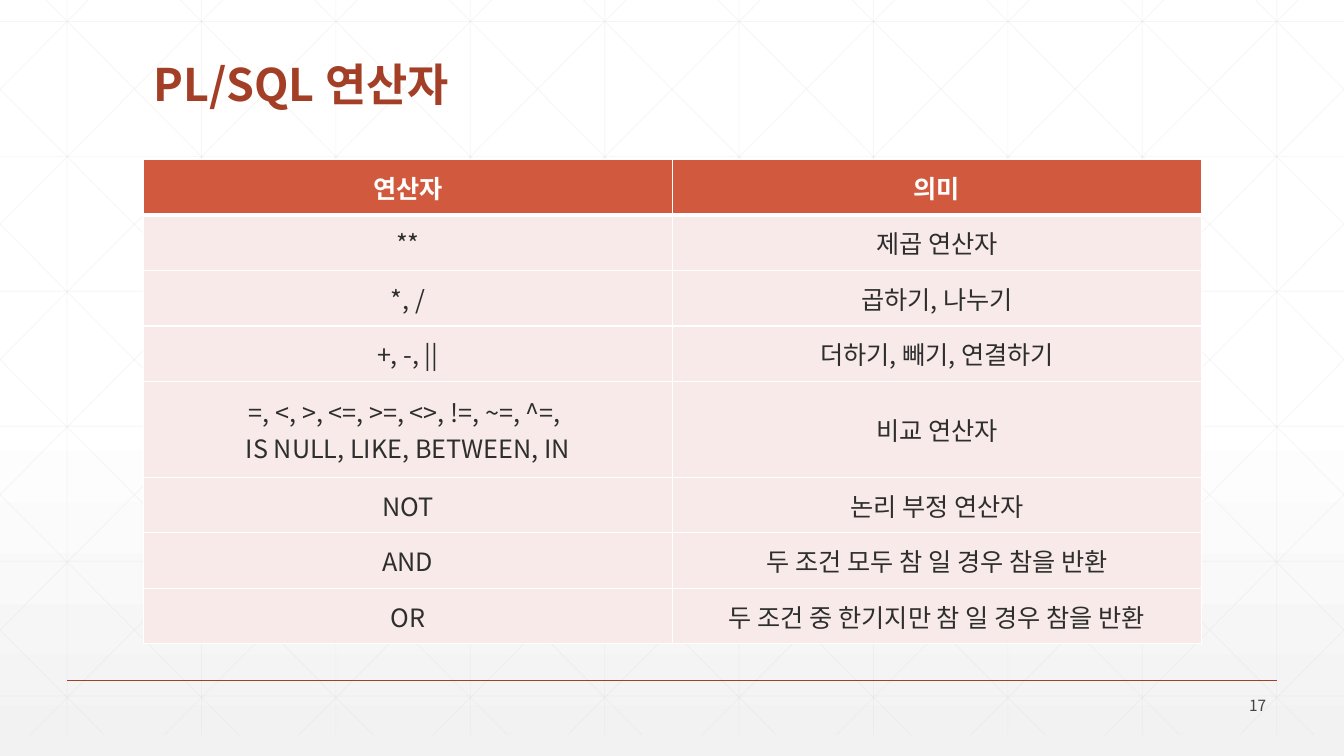
from dataclasses import dataclass
from typing import Any

import lxml.etree
import pptx
import pptx.dml.color
import pptx.enum.dml
import pptx.enum.shapes
import pptx.enum.text
import pptx.oxml
import pptx.oxml.ns
import pptx.util

Cm = pptx.util.Cm
Pt = pptx.util.Pt
RGB = pptx.dml.color.RGBColor
ALIGN = pptx.enum.text.PP_ALIGN
ANCHOR = pptx.enum.text.MSO_ANCHOR
qn = pptx.oxml.ns.qn

FONT = "Noto Sans CJK KR"
WHITE = RGB(0xFF, 0xFF, 0xFF)
FADE = RGB(0xF2, 0xF2, 0xF2)
GRID = RGB(0xD9, 0xD9, 0xD9)
RUST = RGB(0xA4, 0x3F, 0x27)
HEADER = RGB(0xD1, 0x5A, 0x3E)
BODY = RGB(0xF7, 0xEA, 0xE8)
INK = RGB(0x2D, 0x2E, 0x2D)
GREY = RGB(0x42, 0x43, 0x42)

WIDTH, HEIGHT = 33.87, 19.05
GRID_TOP, GRID_BOTTOM = -0.53, 18.52
STEP = 3.387
SLANT = 0.994
ROW_HEIGHT, TALL_ROW_HEIGHT = 1.4, 2.41


@dataclass(frozen=True)
class Line:
    x1: float
    y1: float
    x2: float
    y2: float
    color: RGB = GRID
    width: float = 0.5
    alpha: int = 100


@dataclass(frozen=True)
class TextFormat:
    size: float
    color: RGB
    bold: bool = False
    align: Any = ALIGN.LEFT
    spacing: float = 1.0


@dataclass(frozen=True)
class Operator:
    symbol: str
    meaning: str
    height: float = ROW_HEIGHT


TITLE = TextFormat(32, RUST, True, spacing=0.9)
NUMBER = TextFormat(11, GREY, align=ALIGN.RIGHT)
HEAD_CELL = TextFormat(18, WHITE, True, ALIGN.CENTER)
BODY_CELL = TextFormat(18, INK, False, ALIGN.CENTER)

ROWS = [
    Operator("연산자", "의미"),
    Operator("**", "제곱 연산자"),
    Operator("*, /", "곱하기, 나누기"),
    Operator("+, -, ||", "더하기, 빼기, 연결하기"),
    Operator("=, <, >, <=, >=, <>, !=, ~=, ^=, \nIS NULL, LIKE, BETWEEN, IN",
             "비교 연산자", TALL_ROW_HEIGHT),
    Operator("NOT", "논리 부정 연산자"),
    Operator("AND", "두 조건 모두 참 일 경우 참을 반환"),
    Operator("OR", "두 조건 중 한기지만 참 일 경우 참을 반환"),
]


def set_attrs(obj: Any, values: dict[str, Any]) -> None:
    for name, value in values.items():
        setattr(obj, name, value)


def write(tf: Any, text: str, fmt: TextFormat) -> None:
    tf.text = text
    for p in tf.paragraphs:
        set_attrs(p, {"alignment": fmt.align, "line_spacing": fmt.spacing})
        for r in p.runs:
            set_attrs(r.font, {"name": FONT, "size": Pt(fmt.size), "bold": fmt.bold})
            r.font.color.rgb = fmt.color
            ea = lxml.etree.SubElement(r._r.get_or_add_rPr(), qn("a:ea"))
            ea.set("typeface", FONT)


def place(sp: Any, left: float, top: float, width: float, height: float) -> None:
    set_attrs(sp, {"left": Cm(left), "top": Cm(top),
                   "width": Cm(width), "height": Cm(height)})


def set_background(slide: Any) -> None:
    fill = slide.background.fill
    fill.gradient()
    fill.gradient_angle = 270
    stops = fill._fill._gradFill.find(qn("a:gsLst"))
    for child in list(stops):
        stops.remove(child)
    for pos, color, alpha in ((0, WHITE, 100), (53, WHITE, 100), (100, FADE, 65)):
        gs = lxml.etree.SubElement(stops, qn("a:gs"), pos=str(pos * 1000))
        clr = lxml.etree.SubElement(gs, qn("a:srgbClr"), val=str(color))
        if alpha < 100:
            lxml.etree.SubElement(clr, qn("a:alpha"), val=str(alpha * 1000))


def draw_line(shapes: Any, line: Line) -> None:
    sp = shapes.add_connector(pptx.enum.shapes.MSO_CONNECTOR.STRAIGHT,
                              Cm(line.x1), Cm(line.y1), Cm(line.x2), Cm(line.y2))
    sp.line.color.rgb = line.color
    sp.line.width = Pt(line.width)
    spPr = sp._element.spPr
    if line.alpha < 100:
        clr = spPr.find(".//" + qn("a:srgbClr"))
        lxml.etree.SubElement(clr, qn("a:alpha"), val=str(line.alpha * 1000))
    lxml.etree.SubElement(spPr, qn("a:effectLst"))


def grid_lines() -> list[Line]:
    lines = [Line(x, GRID_TOP, x, GRID_BOTTOM, alpha=25)
             for x in (1.69 + STEP * i for i in range(10))]
    lines += [Line(0, y, WIDTH, y, alpha=25)
              for y in (0.54 + 3.4 * i for i in range(6))]
    falling = []
    for i in range(-5, 10):
        start = 0.63 + STEP * i
        x1 = max(start, 0)
        x2 = min(start + (GRID_BOTTOM - GRID_TOP) * SLANT, WIDTH)
        y1, y2 = (GRID_TOP + (x - start) / SLANT for x in (x1, x2))
        falling.append(Line(x1, y1, x2, y2, alpha=25))
    mirrored = [Line(WIDTH - d.x1, d.y1, WIDTH - d.x2, d.y2, alpha=25) for d in falling]
    return lines + falling + mirrored


def set_borders(cell: Any, widths: dict[str, float]) -> None:
    tcPr = cell._tc.get_or_add_tcPr()
    for i, (side, width) in enumerate(widths.items()):
        ln = lxml.etree.Element(qn(f"a:ln{side}"), w=str(Pt(width)))
        fill = lxml.etree.SubElement(ln, qn("a:solidFill"))
        lxml.etree.SubElement(fill, qn("a:srgbClr"), val=str(WHITE))
        tcPr.insert(i, ln)


def draw_table(shapes: Any, rows: list[Operator]) -> None:
    height = sum(row.height for row in rows)
    table = shapes.add_table(len(rows), 2, Cm(3.61), Cm(4.02),
                             Cm(26.67), Cm(height)).table
    table.horz_banding = False
    for i, row in enumerate(rows):
        table.rows[i].height = Cm(row.height)
        for j, text in enumerate((row.symbol, row.meaning)):
            cell = table.cell(i, j)
            cell.vertical_anchor = ANCHOR.MIDDLE
            cell.fill.solid()
            cell.fill.fore_color.rgb = BODY if i else HEADER
            write(cell.text_frame, text, BODY_CELL if i else HEAD_CELL)
            set_borders(cell, {"L": 1, "R": 1, "T": 3 if i == 1 else 1,
                               "B": 1 if i else 3})


prs = pptx.Presentation()
set_attrs(prs, {"slide_width": Cm(WIDTH), "slide_height": Cm(HEIGHT)})
slide = prs.slides.add_slide(prs.slide_layouts[5])
shapes = slide.shapes
set_background(slide)

grid = shapes.add_group_shape()
for line in grid_lines():
    draw_line(grid.shapes, line)
draw_line(shapes, Line(1.69, 17.15, 32.18, 17.15, RUST, 1))

title = shapes.title
shapes._spTree.append(title._element)
place(title, 3.61, 1.4, 26.72, 1.52)
number = shapes.add_textbox(Cm(29.62), Cm(17.48), Cm(2.54), Cm(0.61))
for sp, text, fmt, anchor in ((title, "PL/SQL 연산자", TITLE, ANCHOR.BOTTOM),
                              (number, "17", NUMBER, ANCHOR.MIDDLE)):
    set_attrs(sp.text_frame, {"word_wrap": True, "vertical_anchor": anchor,
                              "auto_size": pptx.enum.text.MSO_AUTO_SIZE.NONE})
    write(sp.text_frame, text, fmt)

draw_table(shapes, ROWS)
prs.save("out.pptx")
